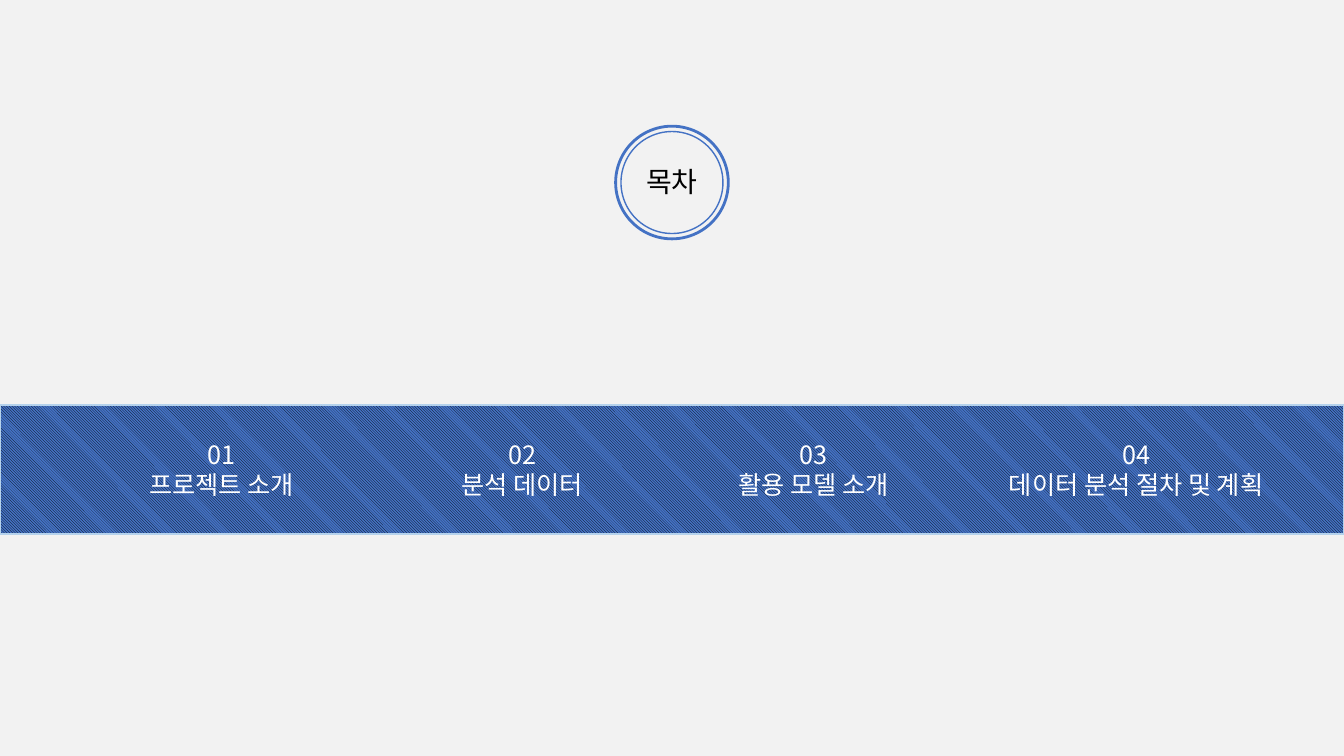
from lxml import etree
from pptx import Presentation
from pptx import util as u
from pptx.dml.color import RGBColor
from pptx.enum import dml, shapes, text
from pptx.oxml.ns import qn

FONT = "Noto Sans CJK KR"
PAPER, BLUE, PALE, BLACK, WHITE = "F2F2F2", "4472C4", "B5D2EC", "000000", "FFFFFF"
WIDTH, HEIGHT = 33.87, 19.05

TITLE = "목차"
TITLE_Y = 4.6
RINGS = [(2.84, 2), (2.57, 1)]
BAND_TOP, BAND_HEIGHT = 10.21, 3.25
ITEM_TOP, ITEM_HEIGHT = 10.95, 1.8
ITEMS = [
    ("프로젝트 소개", 5.59, 4.62),
    ("분석 데이터", 13.16, 4.62),
    ("활용 모델 소개", 20.51, 5.77),
    ("데이터 분석 절차 및 계획", 28.63, 7.42),
]


def rgb(color):
    return RGBColor.from_string(color)


def add_shape(s, kind, x, y, w, h, line=None, weight=1):
    sp = s.shapes.add_shape(kind, u.Cm(x), u.Cm(y), u.Cm(w), u.Cm(h))
    sp.shadow.inherit = False
    sp.fill.solid()
    sp.fill.fore_color.rgb = rgb(PAPER)
    if line:
        sp.line.color.rgb = rgb(line)
        sp.line.width = u.Pt(weight)
    else:
        sp.line.fill.background()
    return sp


def add_label(s, content, center, y, w, h, size, color):
    sp = s.shapes.add_textbox(u.Cm(center - w / 2), u.Cm(y), u.Cm(w), u.Cm(h))
    tf = sp.text_frame
    tf.word_wrap = True
    tf.text = content
    for p in tf.paragraphs:
        p.alignment = text.PP_ALIGN.CENTER
        for r in p.runs:
            r.font.size = u.Pt(size)
            r.font.color.rgb = rgb(color)
            r.font.name = FONT
            ea = etree.SubElement(r.font._element, qn("a:ea"))
            ea.set("typeface", FONT)


def main():
    prs = Presentation()
    prs.slide_width, prs.slide_height = u.Cm(WIDTH), u.Cm(HEIGHT)
    s = prs.slides.add_slide(prs.slide_layouts[6])
    rect, oval = shapes.MSO_SHAPE.RECTANGLE, shapes.MSO_SHAPE.OVAL
    middle = WIDTH / 2

    add_shape(s, rect, 0, 0, WIDTH, HEIGHT)
    for d, weight in RINGS:
        add_shape(s, oval, middle - d / 2, TITLE_Y - d / 2, d, d, BLUE, weight)
    add_label(s, TITLE, middle, 4.01, 2.57, 1.12, 20, BLACK)

    band = add_shape(s, rect, 0, BAND_TOP, WIDTH, BAND_HEIGHT, PALE)
    band.fill.patterned()
    band.fill.pattern = dml.MSO_PATTERN.LIGHT_DOWNWARD_DIAGONAL
    band.fill.fore_color.rgb = rgb(BLACK)
    band.fill.back_color.rgb = rgb(BLUE)

    for number, (name, center, w) in enumerate(ITEMS, 1):
        add_label(s, f"{number:02}\n{name}", center, ITEM_TOP, w, ITEM_HEIGHT, 18, WHITE)

    prs.save("out.pptx")


if __name__ == "__main__":
    main()
